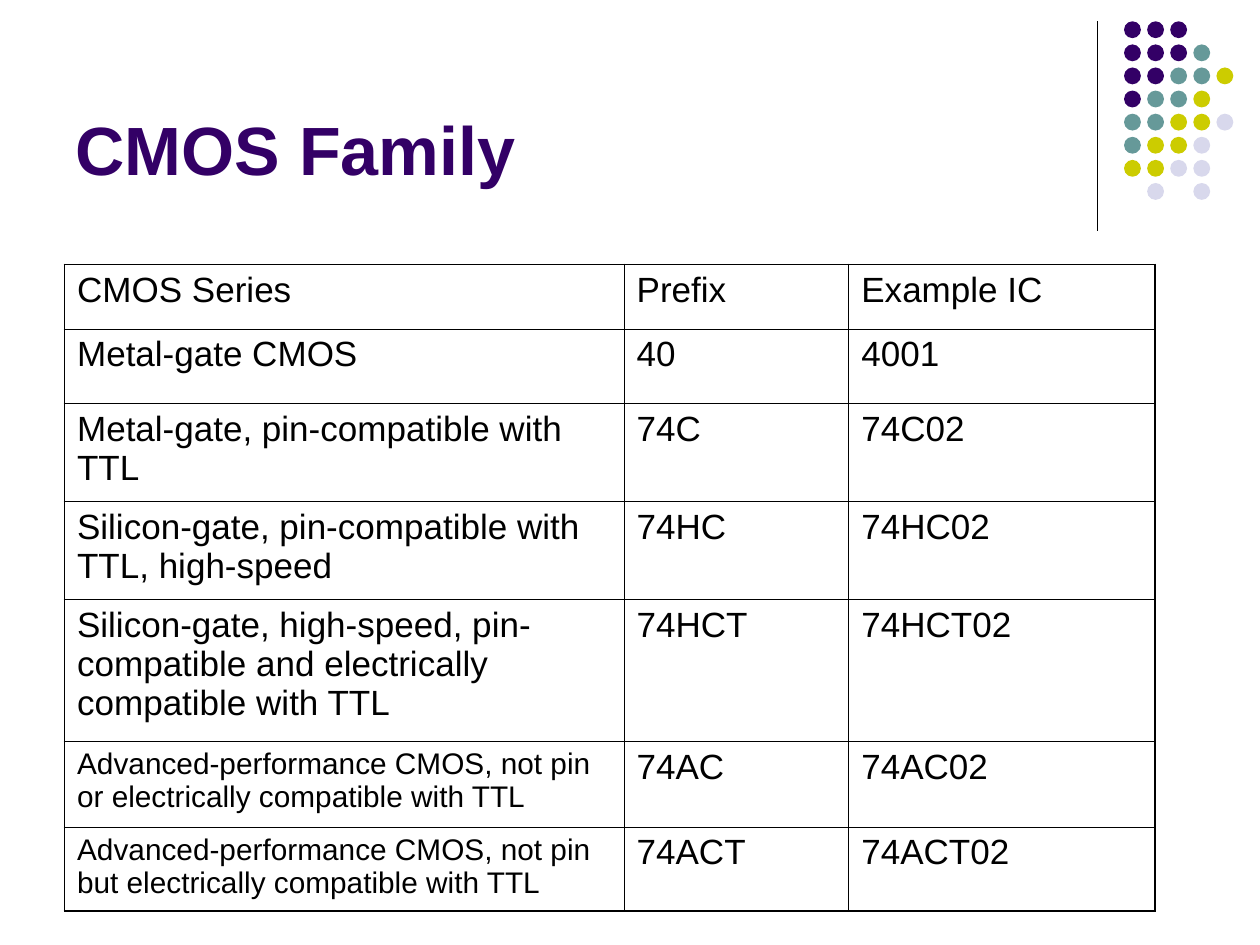
from lxml import etree
from pptx import Presentation
from pptx.dml.color import RGBColor
from pptx.enum.shapes import MSO_CONNECTOR, MSO_SHAPE
from pptx.enum.text import MSO_ANCHOR, MSO_AUTO_SIZE, PP_ALIGN
from pptx.oxml.ns import qn
from pptx.util import Cm, Pt

STRAIGHT, OVAL = MSO_CONNECTOR.STRAIGHT, MSO_SHAPE.OVAL
BOTTOM, FIXED, LEFT = MSO_ANCHOR.BOTTOM, MSO_AUTO_SIZE.NONE, PP_ALIGN.LEFT

BLACK = RGBColor(0x00, 0x00, 0x00)
PURPLE = RGBColor(0x33, 0x00, 0x66)
TEAL = RGBColor(0x66, 0x99, 0x99)
LIME = RGBColor(0xCC, 0xCC, 0x00)
PALE = RGBColor(0xD8, 0xD8, 0xEC)

TITLE = "CMOS Family"
# Row height in cm, size of the first column's text, cell texts
ROWS = [
    (1.3, 20, ("CMOS Series", "Prefix", "Example IC")),
    (1.5, 20, ("Metal-gate CMOS", "40", "4001")),
    (1.98, 20, ("Metal-gate, pin-compatible with TTL", "74C", "74C02")),
    (1.98, 20, ("Silicon-gate, pin-compatible with TTL, high-speed", "74HC", "74HC02")),
    (2.85, 20, ("Silicon-gate, high-speed, pin-compatible and electrically "
                "compatible with TTL", "74HCT", "74HCT02")),
    (1.73, 17, ("Advanced-performance CMOS, not pin or electrically "
                "compatible with TTL", "74AC", "74AC02")),
    (1.7, 17, ("Advanced-performance CMOS, not pin but electrically "
               "compatible with TTL", "74ACT", "74ACT02")),
]
COLS = (11.28, 4.53, 6.18)
THICK, THIN = 1.08, 0.45

# One letter per dot: its colour, or a dot where the grid is empty
DOTS = ["PPP..", "PPPT.", "PPTTL", "PTTL.", "TTLLV", "TLLV.", "LLVV.", ".V.V."]
HUES = {"P": PURPLE, "T": TEAL, "L": LIME, "V": PALE}
DOT_X, DOT_Y, DOT = 22.66, 0.43, 0.34
STEP = 3.26 / (len(DOTS) - 1)


def style(para, size, color, bold=False):
    look = {"name": "Arial", "size": Pt(size), "bold": bold}
    for key, value in look.items():
        setattr(para.font, key, value)
    para.font.color.rgb = color
    para.alignment = LEFT


def edge(cell, side, width):
    """Draw one border of a cell; side is L, R, T or B."""
    line = etree.SubElement(cell._tc.get_or_add_tcPr(), qn("a:ln" + side),
                            w=str(int(Pt(width))))
    fill = etree.SubElement(line, qn("a:solidFill"))
    etree.SubElement(fill, qn("a:srgbClr"), val=str(BLACK))


def add_title(slide):
    title = slide.shapes.title
    box = {"left": 1.27, "top": 0.33, "width": 20.96, "height": 3.61}
    for key, value in box.items():
        setattr(title, key, Cm(value))
    frame = title.text_frame
    frame.text = TITLE
    frame.auto_size, frame.vertical_anchor = FIXED, BOTTOM
    style(frame.paragraphs[0], 39, PURPLE, True)


def add_rule(slide):
    rule = slide.shapes.add_connector(STRAIGHT, Cm(22.12), Cm(0.43), Cm(22.12), Cm(4.65))
    rule.line.color.rgb, rule.line.width = BLACK, Pt(0.75)
    etree.SubElement(rule._element.spPr, qn("a:effectLst"))


def add_dots(slide):
    group = slide.shapes.add_group_shape()
    for r, row in enumerate(DOTS):
        for c, key in enumerate(row):
            if key not in HUES:
                continue
            dot = group.shapes.add_shape(OVAL, Cm(DOT_X + c * STEP), Cm(DOT_Y + r * STEP),
                                         Cm(DOT), Cm(DOT))
            dot.shadow.inherit = False
            dot.fill.solid()
            dot.fill.fore_color.rgb = HUES[key]
            dot.line.fill.background()


def add_grid(slide):
    high = sum(row[0] for row in ROWS)
    table = slide.shapes.add_table(len(ROWS), len(COLS), Cm(1.3), Cm(5.33),
                                   Cm(sum(COLS)), Cm(high)).table
    table.first_row = table.horz_banding = False
    for col, width in zip(table.columns, COLS):
        col.width = Cm(width)
    for r, (height, size, texts) in enumerate(ROWS):
        table.rows[r].height = Cm(height)
        for c, text in enumerate(texts):
            cell = table.cell(r, c)
            cell.text = text
            style(cell.text_frame.paragraphs[0], 20 if c else size, BLACK)
            outer = {"L": c == 0, "R": c == len(COLS) - 1,
                     "T": r == 0, "B": r == len(ROWS) - 1}
            for side, rim in outer.items():
                edge(cell, side, THICK if rim else THIN)
            cell.fill.background()


def main():
    deck = Presentation()
    deck.slide_width, deck.slide_height = Cm(25.4), Cm(19.05)
    slide = deck.slides.add_slide(deck.slide_layouts[5])
    add_rule(slide)
    add_dots(slide)
    add_title(slide)
    add_grid(slide)
    deck.save("out.pptx")


if __name__ == "__main__":
    main()
